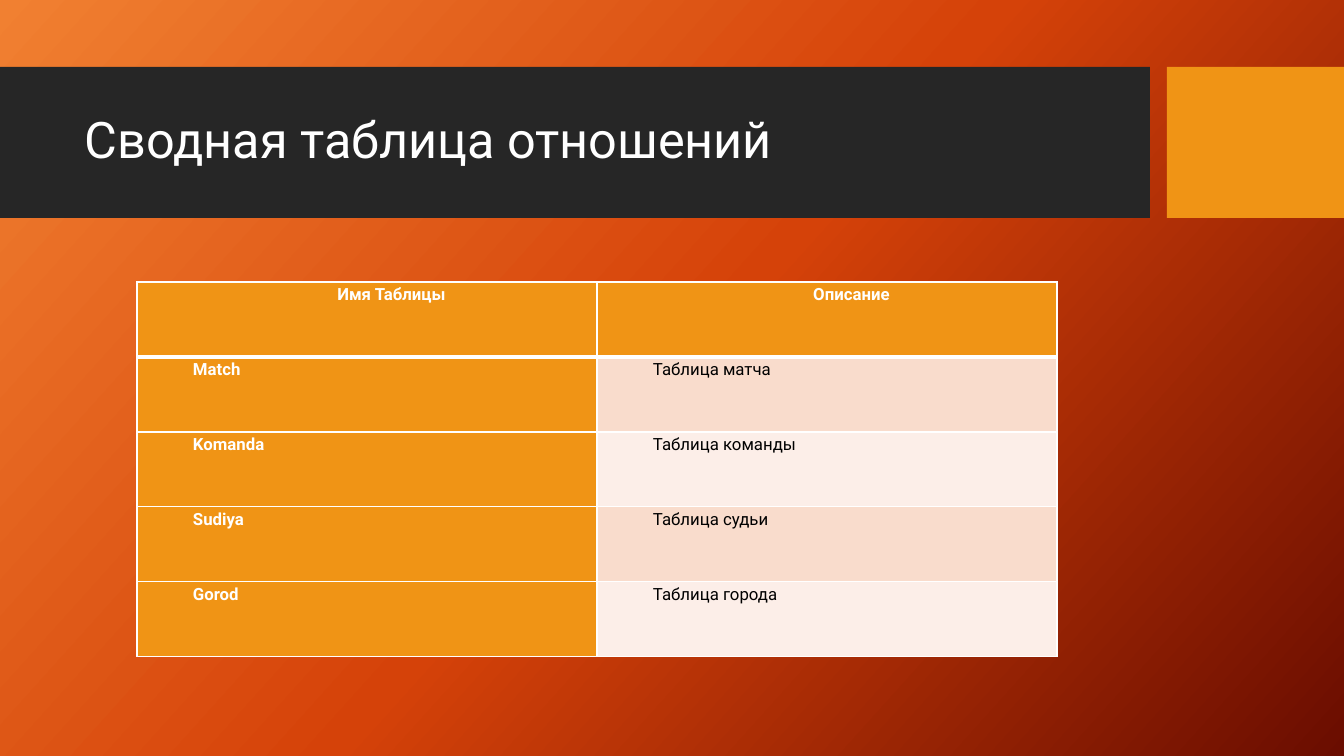
from copy import deepcopy
from lxml.etree import SubElement
from pptx import Presentation
from pptx.dml.color import RGBColor
from pptx.enum.shapes import MSO_SHAPE
from pptx.enum.text import MSO_ANCHOR, PP_ALIGN
from pptx.oxml.ns import qn
from pptx.util import Emu, Pt

COLORS = {
    "dark": "262626", "gold": "F09415", "white": "FFFFFF", "black": "000000",
    "peach": "F9DCCC", "pale": "FCEEE8",
    "start": "F18031", "mid": "D54209", "end": "6A0D00",
}
ROWS = [
    ("Имя Таблицы", "Описание"),
    ("Match", "Таблица матча"),
    ("Komanda", "Таблица команды"),
    ("Sudiya", "Таблица судьи"),
    ("Gorod", "Таблица города"),
]


def px(*vals):
    return [Emu(round(val * 914400 / 100.8)) for val in vals]


def write(frame, text, size, color, bold, form):
    para = frame.paragraphs[0]
    for name, val in form.items():
        setattr(para, name, val)
    run = para.add_run()
    run.text = text
    for name, val in {"name": "Roboto", "size": Pt(size), "bold": bold}.items():
        setattr(run.font, name, val)
    run.font.color.rgb = RGBColor.from_string(COLORS[color])
    return para


deck = Presentation()
deck.slide_width, deck.slide_height = px(1344, 756)
slide = deck.slides.add_slide(deck.slide_layouts[6])

fill = slide.background.fill
fill.gradient()
fill.gradient_angle = 318
stops = slide.element.find(".//" + qn("a:gsLst"))
stops.insert(1, deepcopy(stops[0]))
for stop, name, place in zip(fill.gradient_stops, ("start", "mid", "end"), (0, 0.5, 1)):
    stop.color.rgb = RGBColor.from_string(COLORS[name])
    stop.position = place

for left, width, color in ((0, 1150, "dark"), (1167, 177, "gold")):
    bar = slide.shapes.add_shape(MSO_SHAPE.RECTANGLE, *px(left, 67, width, 151))
    bar.shadow.inherit = False
    bar.fill.solid()
    bar.fill.fore_color.rgb = RGBColor.from_string(COLORS[color])
    bar.line.fill.background()

title = slide.shapes.add_textbox(*px(75, 83, 1059, 119)).text_frame
title.word_wrap = True
title.vertical_anchor = MSO_ANCHOR.MIDDLE
write(title, "Сводная таблица отношений", 36, "white", False, {"line_spacing": 0.9})

grid = slide.shapes.add_table(len(ROWS), 2, *px(137, 282, 920, 375)).table
inset, indent = px(7, 49)
for r, row in enumerate(ROWS):
    for c, text in enumerate(row):
        cell = grid.cell(r, c)
        label = r == 0 or c == 0
        tint = "gold" if label else "peach" if r % 2 else "pale"
        cell.fill.solid()
        cell.fill.fore_color.rgb = RGBColor.from_string(COLORS[tint])
        margins = {"margin_left": inset, "margin_right": inset,
                   "margin_top": 0, "margin_bottom": 0}
        for name, val in margins.items():
            setattr(cell, name, val)
        para = write(cell.text_frame, text, 12, "white" if label else "black", label, {
            "alignment": PP_ALIGN.JUSTIFY if r else PP_ALIGN.CENTER,
            "line_spacing": 1.15, "space_after": Pt(10),
        })
        props = para._p.get_or_add_pPr()
        props.set("marL", "0")
        props.set("indent", str(indent))
        box = cell._tc.get_or_add_tcPr()
        for i, side in enumerate("LRTB"):
            thick = (r, side) in ((0, "B"), (1, "T"))
            edge = SubElement(box, qn("a:ln" + side), w=str(Pt(3 if thick else 1)))
            paint = SubElement(edge, qn("a:solidFill"))
            SubElement(paint, qn("a:srgbClr"), val=COLORS["white"])
            box.insert(i, edge)

deck.save("out.pptx")
